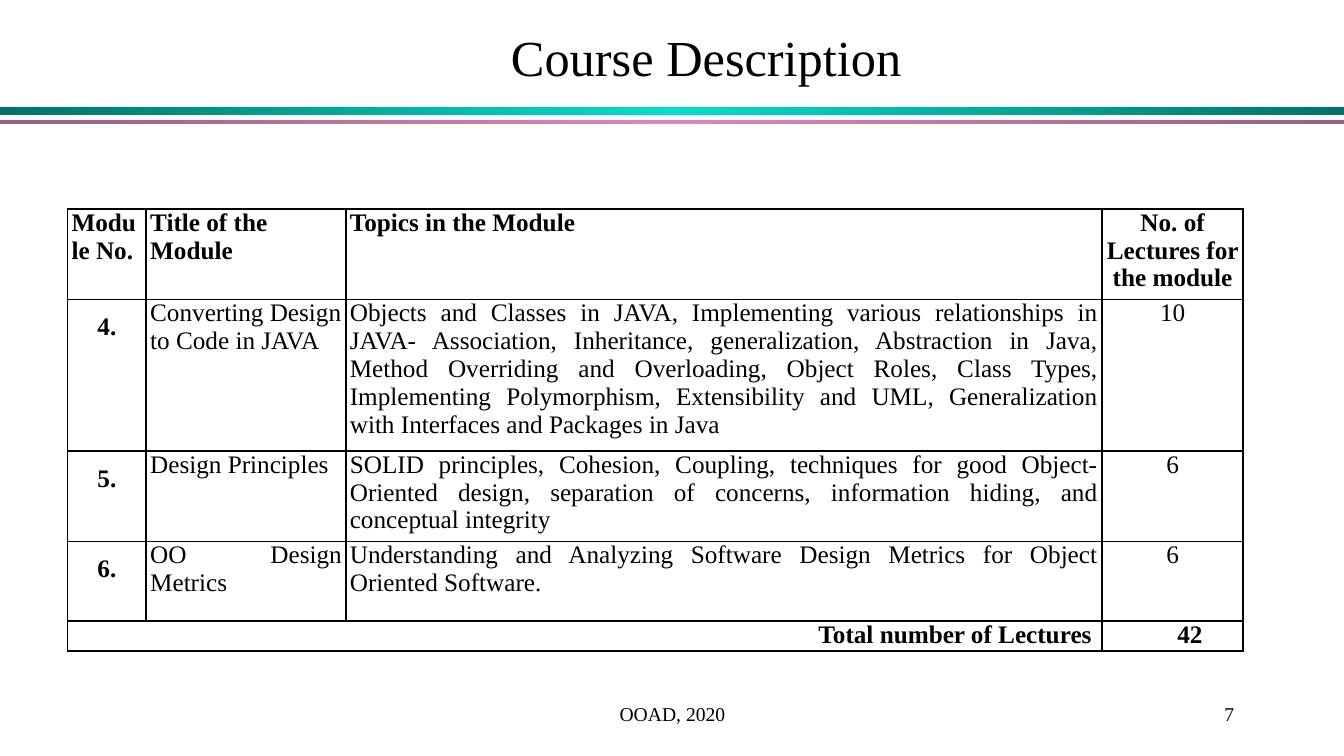
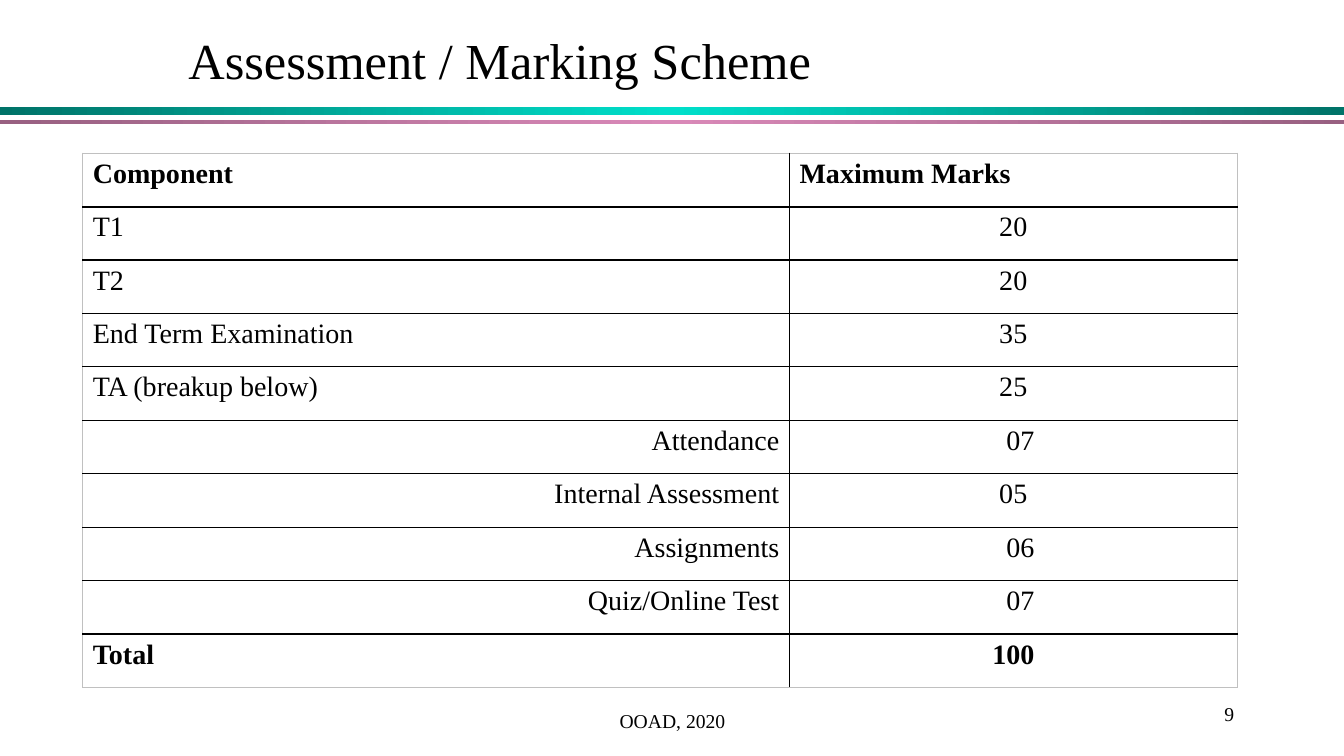
from copy import deepcopy

from lxml import etree
from pptx import Presentation
from pptx.dml.color import RGBColor
from pptx.enum.shapes import MSO_SHAPE
from pptx.enum.text import MSO_ANCHOR, PP_ALIGN
from pptx.oxml.ns import qn
from pptx.util import Inches, Pt

FONT = "Times New Roman"
COLORS = {
    "text": "000000",
    "line": "000000",
    "frame": "C0C0C0",
    "teal_edge": "007368",
    "teal_mid": "00DFCA",
    "pink_edge": "986081",
    "pink_mid": "D989B8",
}
LEFT, CENTER, RIGHT, JUSTIFY = (
    PP_ALIGN.LEFT, PP_ALIGN.CENTER, PP_ALIGN.RIGHT, PP_ALIGN.JUSTIFY)

MODULES = [
    ("4.", "Converting Design to Code in JAVA",
     "Objects and Classes in JAVA, Implementing various relationships in JAVA- "
     "Association, Inheritance, generalization, Abstraction in Java, Method "
     "Overriding and Overloading, Object Roles, Class Types, Implementing "
     "Polymorphism, Extensibility and UML, Generalization with Interfaces and "
     "Packages in Java", "10"),
    ("5.", "Design Principles",
     "SOLID principles, Cohesion, Coupling, techniques for good Object-Oriented "
     "design, separation of concerns, information hiding, and conceptual "
     "integrity", "6"),
    ("6.", "OO Design Metrics",
     "Understanding and Analyzing Software Design Metrics for Object Oriented "
     "Software.", "6"),
]
# Component, marks, whether it is part of the TA breakup, indent of the marks
MARKS = [
    ("T1", "20", False, 0),
    ("T2", "20", False, 0),
    ("End Term Examination", "35", False, 0),
    ("TA (breakup below)", "25", False, 0),
    ("Attendance", "07", True, 0.14),
    ("Internal Assessment", "05", True, 0),
    ("Assignments", "06", True, 0.14),
    ("Quiz/Online Test", "07", True, 0.14),
]


def rgb(name):
    return RGBColor.from_string(COLORS[name])


def style_font(font, size, bold):
    font.name = FONT
    font.size = Pt(size)
    font.bold = bold
    font.color.rgb = rgb("text")


def style_paragraph(p, text, size, align=LEFT, bold=False, spacing=None):
    p.text = text
    p.alignment = align
    style_font(p.font, size, bold)
    if spacing:
        p.line_spacing = spacing


def fill_cell(cell, text, size, align=LEFT, bold=False, spacing=None):
    """Write a cell; fonts sit on the run, since row heights follow run fonts."""
    p = cell.text_frame.paragraphs[0]
    p.alignment = align
    if spacing:
        p.line_spacing = spacing
    r = p.add_run()
    r.text = text
    style_font(r.font, size, bold)
    return p


def add_text(s, box, text, size, align, anchor=MSO_ANCHOR.MIDDLE, spacing=None):
    tf = s.shapes.add_textbox(*map(Inches, box)).text_frame
    tf.word_wrap = True
    tf.vertical_anchor = anchor
    style_paragraph(tf.paragraphs[0], text, size, align, spacing=spacing)


def add_title(s, box, text, align, anchor=MSO_ANCHOR.MIDDLE):
    add_text(s, box, text, 36, align, anchor, spacing=0.9)


def add_band(s, top, height, hue):
    """Full-width bar, dark at both ends and bright in the middle."""
    sp = s.shapes.add_shape(MSO_SHAPE.RECTANGLE, 0, Inches(top),
                            Inches(13.33), Inches(height))
    sp.shadow.inherit = False
    sp.line.fill.background()
    sp.fill.gradient()
    sp.fill.gradient_angle = 0
    stop_list = sp._element.spPr.find(qn("a:gradFill")).find(qn("a:gsLst"))
    stop_list.append(deepcopy(stop_list[-1]))
    for stop, position, tone in zip(sp.fill.gradient_stops, (0, 0.5, 1),
                                    ("edge", "mid", "edge")):
        stop.position = position
        stop.color.rgb = rgb(f"{hue}_{tone}")


def add_slide(prs, number, footer_box):
    """Blank slide with the shared bands, footer and page number."""
    s = prs.slides.add_slide(prs.slide_layouts[6])
    add_band(s, 1.06, 0.08, "teal")
    add_band(s, 1.19, 0.04, "pink")
    add_text(s, footer_box, "OOAD, 2020", 14, CENTER)
    add_text(s, (9.56, 6.83, 2.78, 0.5), str(number), 14, RIGHT)
    return s


def add_plain_table(s, left, top, widths, heights):
    frame = s.shapes.add_table(
        len(heights), len(widths), Inches(left), Inches(top),
        Inches(sum(widths)), Inches(sum(heights)))
    table = frame.table
    table.first_row = table.horz_banding = False
    for column, width in zip(table.columns, widths):
        column.width = Inches(width)
    for row, height in zip(table.rows, heights):
        row.height = Inches(height)
    return table


def set_borders(cell, **sides):
    """Draw the sides L, R, T and B, each given as (colour name, points)."""
    tc_pr = cell._tc.get_or_add_tcPr()
    for side in "LRTB":
        color, width = sides[side]
        ln = etree.SubElement(tc_pr, qn(f"a:ln{side}"), w=str(Pt(width)))
        fill = etree.SubElement(ln, qn("a:solidFill"))
        etree.SubElement(fill, qn("a:srgbClr"), val=COLORS[color])
    cell.fill.background()


def add_tab_stops(p, stops):
    tab_list = etree.SubElement(p._p.get_or_add_pPr(), qn("a:tabLst"))
    for position, align in stops:
        etree.SubElement(tab_list, qn("a:tab"),
                         pos=str(Inches(position)), algn=align)


def add_module_table(s, left, top):
    table = add_plain_table(s, left, top, (0.78, 1.98, 7.5, 1.4),
                            (0.83, 1.38, 0.83, 0.79, 0.27))
    line = ("line", 1.5)
    for cell in table.iter_cells():
        cell.margin_left = cell.margin_right = Inches(0.04)
        cell.margin_top = cell.margin_bottom = 0
        set_borders(cell, L=line, R=line, T=line, B=line)

    def put(row, col, text, align=LEFT, bold=False, spacing=None):
        return fill_cell(table.cell(row, col), text, 18, align, bold, spacing)

    headings = ("Module No.", "Title of the Module", "Topics in the Module",
                "No. of Lectures for the module")
    for col, heading in enumerate(headings):
        put(0, col, heading, CENTER if col == 3 else LEFT, bold=True)
    for row, (number, title, topics, lectures) in enumerate(MODULES, 1):
        put(row, 0, number, CENTER, bold=True, spacing=1.5)
        put(row, 1, title, JUSTIFY if row == 3 else LEFT)
        put(row, 2, topics, JUSTIFY)
        put(row, 3, lectures, CENTER)
    table.cell(4, 0).merge(table.cell(4, 2))
    put(4, 0, "Total number of Lectures ", RIGHT, bold=True)
    total = put(4, 3, "\t42", CENTER, bold=True)
    add_tab_stops(total, [(0.47, "ctr"), (0.9, "l")])


def add_marks_table(s, left, top):
    rows = [("Component", "Maximum Marks", False, 0), *MARKS,
            ("Total", "100", False, 0)]
    last = len(rows) - 1
    table = add_plain_table(s, left, top, (7.01, 4.44), [0.53] * len(rows))
    frame, thin, thick = ("frame", 1), ("line", 1), ("line", 1.5)
    # Horizontal rules from the top edge to the bottom edge
    rules = [frame, thick, *[thin] * (last - 1), frame]
    for row, (component, marks, is_part, indent) in enumerate(rows):
        bold = row in (0, last)
        aligns = (RIGHT if is_part else LEFT, CENTER if row else LEFT)
        for col, text in enumerate((component, marks)):
            cell = table.cell(row, col)
            set_borders(cell, L=thick if col else frame,
                        R=frame if col else thick,
                        T=rules[row], B=rules[row + 1])
            fill_cell(cell, text, 20, aligns[col], bold)
        cell.margin_left = Inches(0.1 + indent)


def build_course_slide(prs):
    s = add_slide(prs, 7, (4.56, 6.83, 4.22, 0.5))
    add_module_table(s, 0.67, 2.07)
    add_title(s, (1.47, 0.16, 11.07, 0.87), "Course Description", CENTER)


def build_assessment_slide(prs):
    s = add_slide(prs, 9, (4.42, 6.95, 4.5, 0.4))
    add_title(s, (1.77, 0.31, 10.5, 0.51), "Assessment / Marking Scheme",
              LEFT, MSO_ANCHOR.TOP)
    add_marks_table(s, 0.82, 1.52)


def main():
    prs = Presentation()
    prs.slide_width, prs.slide_height = Inches(13.33), Inches(7.5)
    build_course_slide(prs)
    build_assessment_slide(prs)
    prs.save("out.pptx")


if __name__ == "__main__":
    main()
